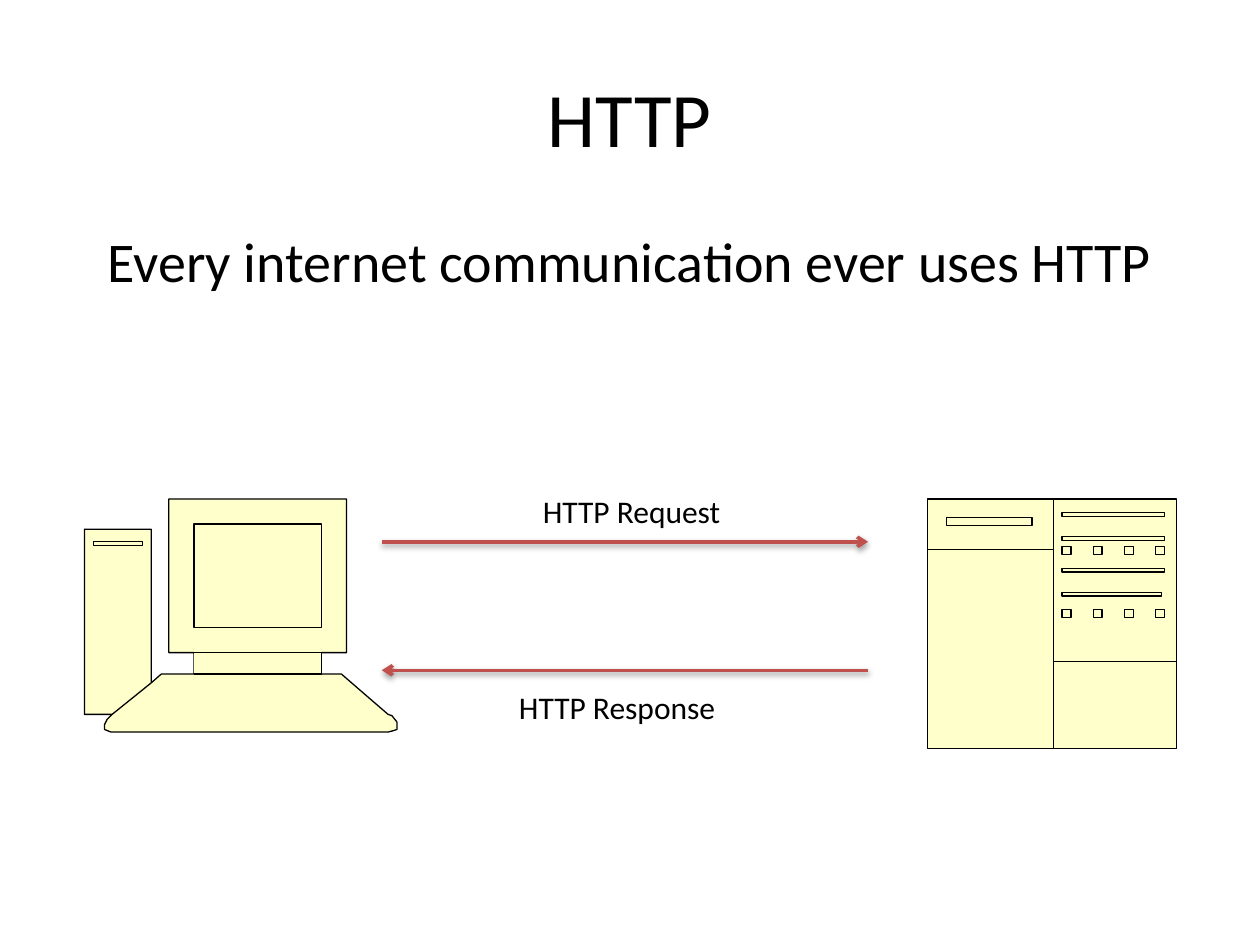
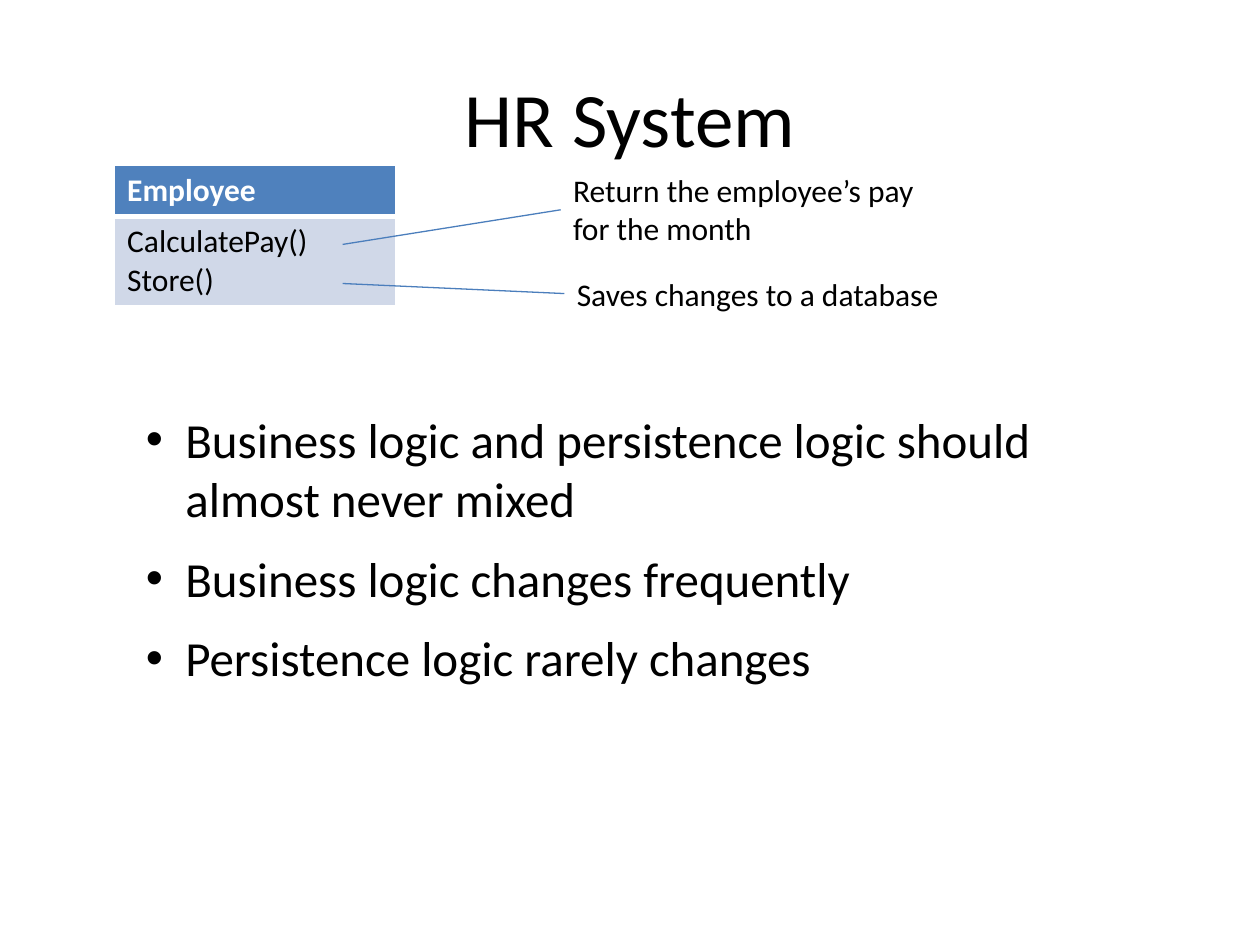
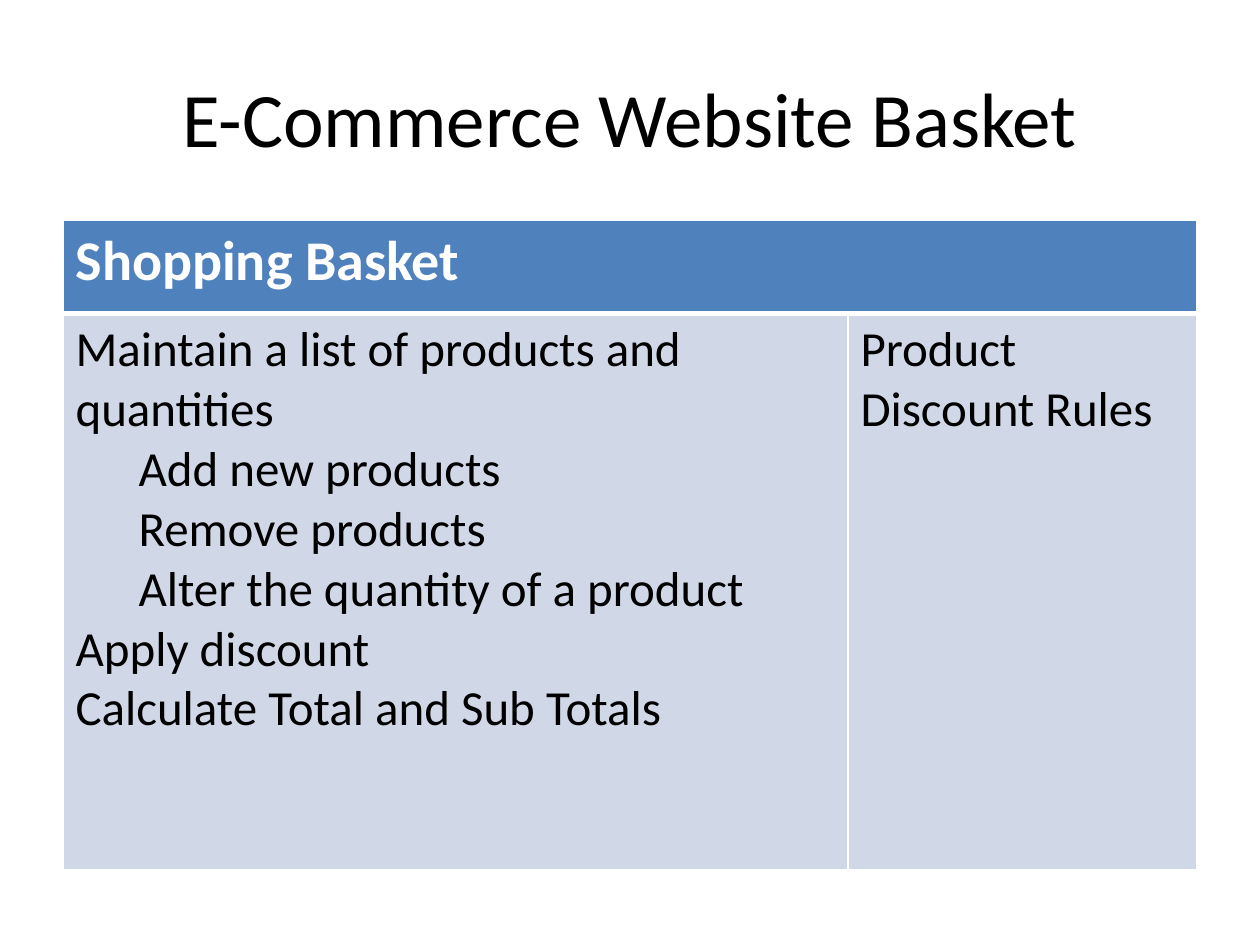
import pptx
import pptx.dml.color
import pptx.enum.shapes
import pptx.enum.text
import pptx.oxml
import pptx.oxml.ns
import pptx.util

Pt = pptx.util.Pt
RGBColor = pptx.dml.color.RGBColor
ALIGN = pptx.enum.text.PP_ALIGN
ANCHOR = pptx.enum.text.MSO_ANCHOR
AUTO_SIZE = pptx.enum.text.MSO_AUTO_SIZE
STRAIGHT = pptx.enum.shapes.MSO_CONNECTOR.STRAIGHT
qn = pptx.oxml.ns.qn

BLACK = RGBColor(0x00, 0x00, 0x00)
WHITE = RGBColor(0xFF, 0xFF, 0xFF)
CREAM = RGBColor(0xFF, 0xFF, 0xCC)
RED = RGBColor(0xC0, 0x50, 0x4D)
BLUE = RGBColor(0x4F, 0x81, 0xBD)
LINK_BLUE = RGBColor(0x4B, 0x7E, 0xBC)
PALE_BLUE = RGBColor(0xD0, 0xD8, 0xE8)

COLUMNS, ROWS = 100, 75
LEFT_SIDE = 1

TITLE = {"size": Pt(44)}
LEAD = {"size": Pt(32)}
BODY = {"size": Pt(28)}
LABEL = {"size": Pt(18)}

CENTERED = {"alignment": ALIGN.CENTER}
LEAD_PARA = {"alignment": ALIGN.CENTER, "space_before": Pt(6.4)}
BULLET_PARA = {"space_after": Pt(12)}
GROWING = {"word_wrap": True, "auto_size": AUTO_SIZE.SHAPE_TO_FIT_TEXT}
ONE_LINE = {"word_wrap": False, "auto_size": AUTO_SIZE.SHAPE_TO_FIT_TEXT}
FIXED = {"word_wrap": True, "auto_size": AUTO_SIZE.NONE}
MIDDLE = {**FIXED, "vertical_anchor": ANCHOR.MIDDLE}

NAMESPACE = 'xmlns:a="http://schemas.openxmlformats.org/drawingml/2006/main"'
SOFT_SHADOW = (
    '<a:outerShdw blurRad="39370" dist="20320" dir="5400000" rotWithShape="0">'
    '<a:srgbClr val="000000"><a:alpha val="38000"/></a:srgbClr></a:outerShdw>'
)


def add_xml(parent, tag, attributes="", inner=""):
    parent.append(pptx.oxml.parse_xml(f"<a:{tag} {NAMESPACE} {attributes}>{inner}</a:{tag}>"))


def apply(target, values):
    for name, value in values.items():
        setattr(target, name, value)


def rectangle(left, top, width, height):
    right, bottom = left + width, top + height
    return [(left, top), (right, top), (right, bottom), (left, bottom)], True


class Painter:
    """Holds the style and the current slide; positions are grid columns and rows."""

    font_name = "Calibri"

    def __init__(self):
        self.deck = pptx.Presentation()
        self.deck.slide_width = pptx.util.Inches(10)
        self.deck.slide_height = pptx.util.Inches(7.5)
        self.page = None

    def x(self, columns):
        return round(self.deck.slide_width * columns / COLUMNS)

    def y(self, rows):
        return round(self.deck.slide_height * rows / ROWS)

    def place(self, left, top, width, height):
        return self.x(left), self.y(top), self.x(width), self.y(height)

    def new_page(self, title):
        self.page = self.deck.slides.add_slide(self.deck.slide_layouts[6])
        self.text((5, 3, 90, 12.5), [title], TITLE, MIDDLE, CENTERED)

    def fill_frame(self, frame, lines, font, para_format=None, color=BLACK):
        """Put lines in a text frame; a line is text, or (text, level)."""
        for index, line in enumerate(lines):
            words, level = (line, 0) if isinstance(line, str) else line
            para = frame.add_paragraph() if index else frame.paragraphs[0]
            apply(para, para_format or {})
            if level:
                para.level = level
                para._p.get_or_add_pPr().set("marL", str(self.x(5) * level))
            span = para.add_run()
            span.text = words
            apply(span.font, {"name": self.font_name, **font})
            span.font.color.rgb = color

    def text(self, area, lines, font, frame_format, para_format=None):
        box = self.page.shapes.add_textbox(*self.place(*area))
        apply(box.text_frame, frame_format)
        self.fill_frame(box.text_frame, lines, font, para_format)
        return box

    def bullets(self, area, lines):
        box = self.text(area, lines, BODY, GROWING, BULLET_PARA)
        for para in box.text_frame.paragraphs:
            properties = para._p.get_or_add_pPr()
            indent = self.x(3.13)
            properties.set("marL", str(indent))
            properties.set("indent", str(-indent))
            add_xml(properties, "buFont", 'typeface="Arial"')
            add_xml(properties, "buChar", 'char="•"')

    def line(self, start, end, color, width, effects=""):
        link = self.page.shapes.add_connector(
            STRAIGHT, self.x(start[0]), self.y(start[1]), self.x(end[0]), self.y(end[1])
        )
        link.line.color.rgb = color
        link.line.width = Pt(width)
        add_xml(link._element.spPr, "effectLst", inner=effects)
        return link

    def arrow(self, start, end):
        link = self.line(start, end, RED, 2, SOFT_SHADOW)
        add_xml(link.line._get_or_add_ln(), "tailEnd", 'type="arrow"')

    def note(self, area, words, member):
        """A remark joined to the class member it explains."""
        box = self.text(area, [words], LABEL, GROWING)
        left, top, _, height = area
        link = self.line(member, (left, top + height / 2), LINK_BLUE, 0.75)
        link.end_connect(box, LEFT_SIDE)

    def drawing(self, contours):
        """One outline shape of (points, closed) contours, each filled on its own."""
        builder = None
        for points, closed in contours:
            first, *rest = [(self.x(x), self.y(y)) for x, y in points]
            if builder is None:
                builder = self.page.shapes.build_freeform(*first)
            else:
                builder.move_to(*first)
            builder.add_line_segments(rest, close=closed)
        shape = builder.convert_to_shape()
        shape.shadow.inherit = False
        shape.fill.solid()
        shape.fill.fore_color.rgb = CREAM
        shape.line.color.rgb = BLACK
        shape.line.width = Pt(0.75)

        whole = shape._element.find(".//" + qn("a:path"))
        outlines = whole.getparent()
        outlines.remove(whole)
        for step in list(whole):
            if step.tag == qn("a:moveTo"):
                add_xml(outlines, "path", f'w="{whole.get("w")}" h="{whole.get("h")}"')
            outlines[-1].append(step)

    def cell(self, cell, lines, font, color, fill, borders):
        for side, width in borders.items():
            add_xml(
                cell._tc.get_or_add_tcPr(), "ln" + side, f'w="{Pt(width)}"',
                f'<a:solidFill><a:srgbClr val="{WHITE}"/></a:solidFill>',
            )
        cell.fill.solid()
        cell.fill.fore_color.rgb = fill
        self.fill_frame(cell.text_frame, lines, font, color=color)

    def class_card(self, corner, widths, heights, name, name_font, members, member_font):
        """A table with a name across the top and one column per list of members."""
        area = (*corner, sum(widths), sum(heights))
        table = self.page.shapes.add_table(2, len(widths), *self.place(*area)).table
        table.horz_banding = False
        for column, width in zip(table.columns, widths):
            column.width = self.x(width)
        for row, height in zip(table.rows, heights):
            row.height = self.y(height)
        if len(widths) > 1:
            table.cell(0, 0).merge(table.cell(0, len(widths) - 1))
        self.cell(table.cell(0, 0), [name], {**name_font, "bold": True}, WHITE, BLUE,
                  {"L": 1, "R": 1, "T": 1, "B": 3})
        for index, lines in enumerate(members):
            self.cell(table.cell(1, index), lines, {**member_font, "bold": False},
                      BLACK, PALE_BLUE, {"L": 1, "R": 1, "B": 1})


def server_contours():
    left, top, size, middle = 73.6, 39.6, 19.8, 83.6
    right = left + size
    slots_left = 84.3
    slots = [(40.7, 8.1), (42.6, 8.1), (45.1, 8.1), (47, 7.9)]
    buttons = [(slots_left + 2.47 * step, row) for row in (43.4, 48.4) for step in range(4)]
    return [
        rectangle(left, top, size, size),
        ([(left, 43.6), (middle, 43.6), (middle, 52.5), (right, 52.5)], False),
        rectangle(75.1, 41.1, 6.8, 0.6),
        *[rectangle(slots_left, row, width, 0.3) for row, width in slots],
        *[rectangle(x, y, 0.7, 0.6) for x, y in buttons],
        ([(middle, top), (middle, top + size)], False),
    ]


def computer_contours():
    monitor = [(12.8, 53.5), (15.4, 53.5), (15.4, 51.8), (13.4, 51.8), (13.4, 39.6),
               (27.5, 39.6), (27.5, 51.8), (25.5, 51.8), (25.5, 53.5), (27.1, 53.5)]
    keyboard = [(28.6, 54.8), (30.8, 56.7), (31.1, 56.8), (31.5, 57.3), (31.5, 57.9),
                (31.2, 58), (30.8, 58.1), (8.8, 58.1), (8.3, 57.9), (8.3, 57.5),
                (8.5, 57.1), (8.9, 56.7)]
    tower = [(6.7, 56.7), (6.7, 42), (12, 42), (12, 54.2), (8.9, 56.7), (12, 54.2)]
    return [
        (monitor + keyboard + tower, True),
        rectangle(15.4, 41.6, 10.1, 8.2),
        rectangle(7.4, 43, 3.9, 0.3),
        ([(15.4, 51.8), (25.5, 51.8), (25.5, 53.5), (15.4, 53.5)], False),
    ]


def http_page(painter):
    painter.new_page("HTTP")
    painter.text((5, 17.5, 90, 6.6), ["Every internet communication ever uses HTTP"],
                 LEAD, FIXED, LEAD_PARA)
    painter.drawing(server_contours())
    painter.drawing(computer_contours())
    client, server = 30.3, 68.9
    painter.arrow((client, 43), (server, 43))
    painter.text((42.1, 38.6, 16.3, 4), ["HTTP Request"], LABEL, ONE_LINE)
    painter.arrow((server, 53.2), (client, 53.2))
    painter.text((40.2, 54.1, 17.8, 4), ["HTTP Response"], LABEL, ONE_LINE)


def hr_page(painter):
    painter.new_page("HR System")
    painter.class_card((9.1, 13.1), [22.3], [4.1, 7], "Employee", LABEL,
                       [["CalculatePay()", "Store()"]], LABEL)
    painter.note((44.5, 13.1, 32.3, 7.1), "Return the employee’s pay for the month", (27.2, 19.4))
    painter.note((44.8, 21.3, 31.7, 4), "Saves changes to a database", (27.2, 22.5))
    painter.bullets((10.6, 32, 77.2, 23.2), [
        "Business logic and persistence logic should almost never mixed",
        "Business logic changes frequently",
        "Persistence logic rarely changes",
    ])


def basket_page(painter):
    painter.new_page("E-Commerce Website Basket")
    duties = [
        "Maintain a list of products and quantities",
        ("Add new products", 1),
        ("Remove products", 1),
        ("Alter the quantity of a product", 1),
        "Apply discount",
        "Calculate Total and Sub Totals",
    ]
    painter.class_card((5, 17.5), [62.3, 27.7], [7.4, 44.1], "Shopping Basket", LEAD,
                       [duties, ["Product", "Discount Rules"]], BODY)


def main():
    painter = Painter()
    for build_page in (http_page, hr_page, basket_page):
        build_page(painter)
    painter.deck.save("out.pptx")


if __name__ == "__main__":
    main()
